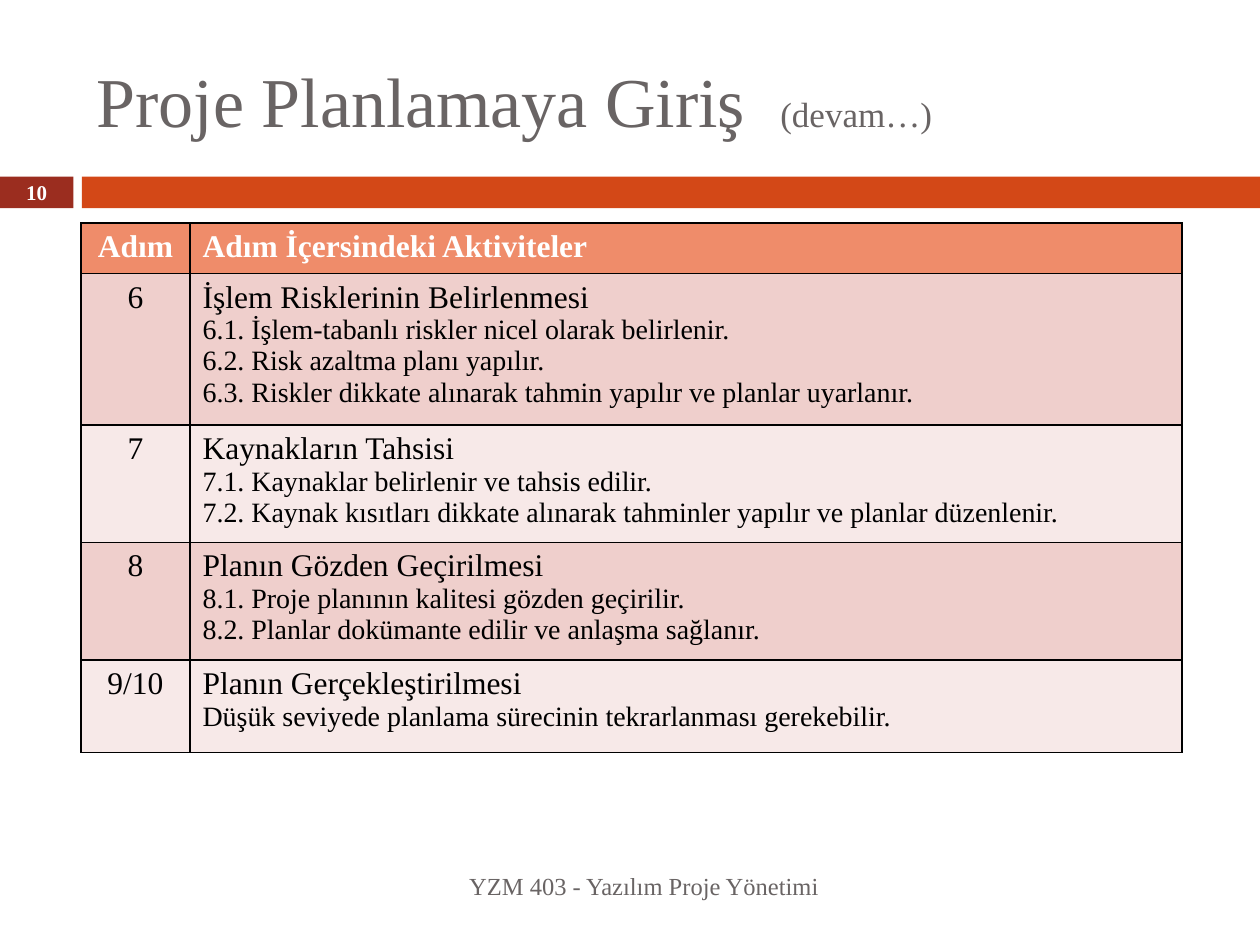
from lxml.etree import SubElement
from pptx import Presentation
from pptx.dml.color import RGBColor
from pptx.enum.shapes import MSO_SHAPE
from pptx.enum.text import MSO_ANCHOR, PP_ALIGN
from pptx.oxml.ns import qn
from pptx.util import Cm, Pt

FONT = "Times New Roman"
WHITE = RGBColor(0xFF, 0xFF, 0xFF)
BLACK = RGBColor(0x00, 0x00, 0x00)
GRAY = RGBColor(0x69, 0x64, 0x64)
DARK_RED = RGBColor(0x9B, 0x2D, 0x1F)
ORANGE = RGBColor(0xD3, 0x48, 0x17)
HEADER_FILL = RGBColor(0xEF, 0x8C, 0x6A)
BAND_FILLS = (RGBColor(0xEF, 0xCF, 0xCC), RGBColor(0xF7, 0xE9, 0xE8))

HEADER = ("Adım", ["Adım İçersindeki Aktiviteler"])
STEPS = [
    ("6", ["İşlem Risklerinin Belirlenmesi",
           "6.1. İşlem-tabanlı riskler nicel olarak belirlenir.",
           "6.2. Risk azaltma planı yapılır.",
           "6.3. Riskler dikkate alınarak tahmin yapılır ve planlar uyarlanır."]),
    ("7", ["Kaynakların Tahsisi",
           "7.1. Kaynaklar belirlenir ve tahsis edilir.",
           "7.2. Kaynak kısıtları dikkate alınarak tahminler yapılır ve planlar düzenlenir."]),
    ("8", ["Planın Gözden Geçirilmesi",
           "8.1. Proje planının kalitesi gözden geçirilir.",
           "8.2. Planlar dokümante edilir ve anlaşma sağlanır."]),
    ("9/10", ["Planın Gerçekleştirilmesi",
              "Düşük seviyede planlama sürecinin tekrarlanması gerekebilir."]),
]
COLUMN_WIDTHS = (2.2, 20)
ROW_HEIGHTS = (0.97, 2.9, 2.26, 2.26, 1.86)


def style_paragraph(paragraph, size, color, bold=False, align=PP_ALIGN.LEFT):
    paragraph.alignment = align
    font = paragraph.font
    font.name, font.size, font.bold = FONT, Pt(size), bold
    font.color.rgb = color


def add_text_box(slide, left, top, width, height):
    """Add a wrapping, vertically centred box and return its first paragraph."""
    box = slide.shapes.add_textbox(Cm(left), Cm(top), Cm(width), Cm(height))
    frame = box.text_frame
    frame.word_wrap = True
    frame.vertical_anchor = MSO_ANCHOR.MIDDLE
    return frame.paragraphs[0]


def add_title(slide, left, top, width, height):
    paragraph = add_text_box(slide, left, top, width, height)
    style_paragraph(paragraph, 40, GRAY)
    paragraph.add_run().text = "Proje Planlamaya Giriş  "
    continued = paragraph.add_run()
    continued.text = "(devam…)"
    continued.font.size = Pt(20)


def add_footer(slide, left, top, width, height):
    paragraph = add_text_box(slide, left, top, width, height)
    paragraph.text = "YZM 403 - Yazılım Proje Yönetimi"
    style_paragraph(paragraph, 14, GRAY, align=PP_ALIGN.RIGHT)


def add_bar(slide, left, top, width, height, color):
    bar = slide.shapes.add_shape(MSO_SHAPE.RECTANGLE, Cm(left), Cm(top), Cm(width), Cm(height))
    bar.shadow.inherit = False
    bar.fill.solid()
    bar.fill.fore_color.rgb = color
    bar.line.fill.background()
    return bar


def add_number_band(slide, left, top, width, height):
    number_width, gap = 1.48, 0.17
    number_bar = add_bar(slide, left, top, number_width, height, DARK_RED)
    frame = number_bar.text_frame
    frame.margin_top = frame.margin_bottom = 0
    frame.vertical_anchor = MSO_ANCHOR.MIDDLE
    frame.text = "10"
    style_paragraph(frame.paragraphs[0], 12, WHITE, True, PP_ALIGN.CENTER)
    offset = number_width + gap
    add_bar(slide, left + offset, top, width - offset, height, ORANGE)


def style_cell(cell, fill):
    """Give the cell a black 1 pt border on every side and a solid fill."""
    properties = cell._tc.get_or_add_tcPr()
    for side in ("a:lnL", "a:lnR", "a:lnT", "a:lnB"):
        line = SubElement(properties, qn(side), w=str(Pt(1)))
        SubElement(SubElement(line, qn("a:solidFill")), qn("a:srgbClr"), val=str(BLACK))
    cell.fill.solid()
    cell.fill.fore_color.rgb = fill


def fill_row(row, content, fill, color, bold=False):
    number, lines = content
    number_cell, activity_cell = row.cells
    for cell in row.cells:
        style_cell(cell, fill)
    number_cell.text = number
    style_paragraph(number_cell.text_frame.paragraphs[0], 18, color, bold, PP_ALIGN.CENTER)
    activity_cell.text = "\n".join(lines)
    for index, paragraph in enumerate(activity_cell.text_frame.paragraphs):
        style_paragraph(paragraph, 16 if index else 18, color, bold)


def add_steps_table(slide, left, top):
    frame = slide.shapes.add_table(
        len(ROW_HEIGHTS), len(COLUMN_WIDTHS), Cm(left), Cm(top),
        Cm(sum(COLUMN_WIDTHS)), Cm(sum(ROW_HEIGHTS)))
    table = frame.table
    for column, width in zip(table.columns, COLUMN_WIDTHS):
        column.width = Cm(width)
    for row, height in zip(table.rows, ROW_HEIGHTS):
        row.height = Cm(height)
    fill_row(table.rows[0], HEADER, HEADER_FILL, WHITE, bold=True)
    for index, step in enumerate(STEPS):
        fill_row(table.rows[index + 1], step, BAND_FILLS[index % 2], BLACK)


def main():
    presentation = Presentation()
    presentation.slide_width, presentation.slide_height = Cm(25.4), Cm(19.05)
    slide = presentation.slides.add_slide(presentation.slide_layouts[6])
    add_number_band(slide, 0, 3.56, 25.4, 0.64)
    add_title(slide, 1.7, 0.64, 22.66, 2.74)
    add_footer(slide, 1.7, 17.35, 15.06, 1.02)
    add_steps_table(slide, 1.63, 4.5)
    presentation.save("out.pptx")


if __name__ == "__main__":
    main()
